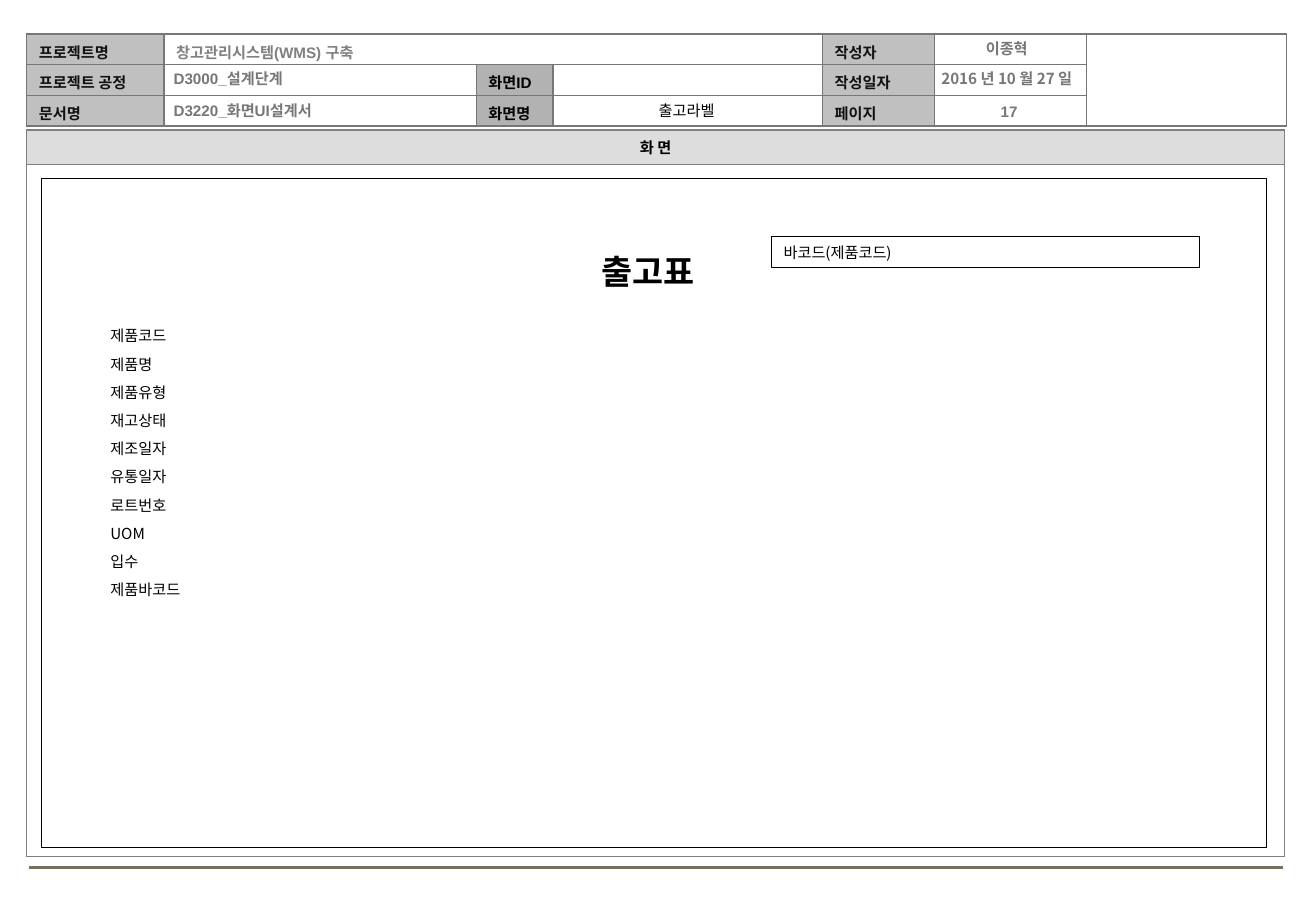
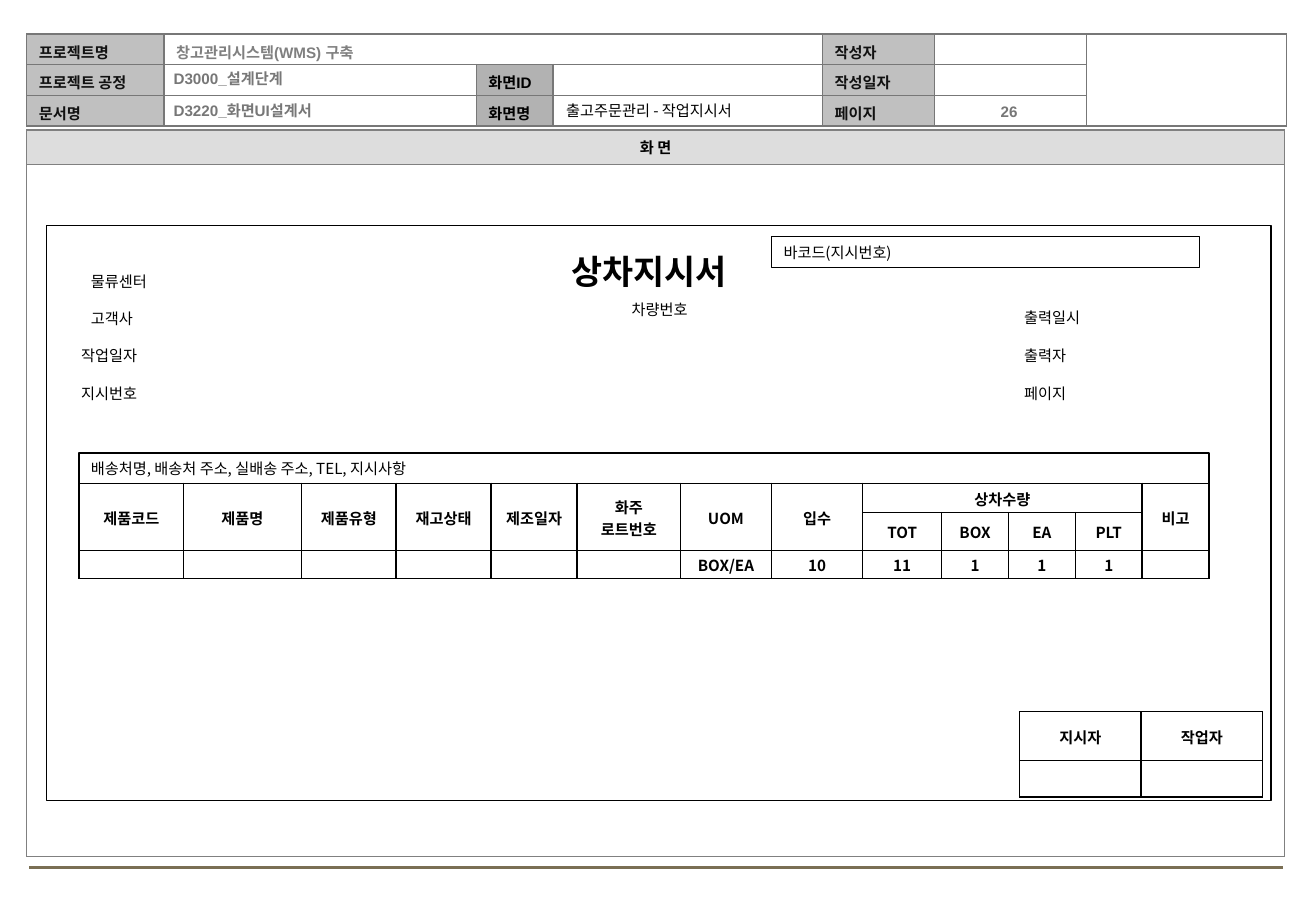
import dataclasses

import lxml.etree
import pptx
import pptx.dml.color
import pptx.enum.shapes
import pptx.enum.text
import pptx.oxml.ns
import pptx.util


@dataclasses.dataclass(frozen=True)
class Theme:
    """Colours, fonts, type sizes and line widths of the form."""
    black: str = "000000"
    label: str = "111111"
    value: str = "777777"
    muted: str = "808080"
    label_fill: str = "C0C0C0"
    screen_fill: str = "B2B2B2"
    band_fill: str = "DDDDDD"
    footer: str = "7A6F54"
    form_font: str = "Arial"
    body_font: str = "Noto Sans CJK KR"
    title_font: str = "Cabin"
    body_size: float = 9
    title_size: float = 20
    border: float = 1
    outline: float = 0.75
    footer_line: float = 1.75


THEME = Theme()
UNIT = 0.25
SLIDE_COLUMNS, SLIDE_ROWS = 43.32, 30
ALIGN = pptx.enum.text.PP_ALIGN
MIDDLE = pptx.enum.text.MSO_ANCHOR.MIDDLE
FORM = {"font": THEME.form_font, "bold": True}
FORM_VALUE = {**FORM, "color": THEME.value}
TIGHT = (0.01, 0.01, 0.01, 0)


def grid(units):
    """Turn grid columns or rows into a length."""
    return pptx.util.Inches(units * UNIT)


def rgb(color):
    """Turn a hex string into a colour."""
    return pptx.dml.color.RGBColor.from_string(color)


def add_element(parent, tag, **attributes):
    """Append a DrawingML element to a parent."""
    return lxml.etree.SubElement(parent, pptx.oxml.ns.qn(tag), **attributes)


def write_text(text_frame, text, font=THEME.body_font, size=THEME.body_size,
               color=THEME.black, bold=False, align=ALIGN.LEFT):
    """Write one paragraph for each line of text in the given format."""
    for index, line in enumerate(text.split("\n")):
        paragraph = text_frame.add_paragraph() if index else text_frame.paragraphs[0]
        paragraph.alignment = align
        if not line:
            add_element(paragraph._p, "a:endParaRPr", sz=str(int(size * 100)))
            continue
        run = paragraph.add_run()
        run.text = line
        run.font.size = pptx.util.Pt(size)
        run.font.bold = bold
        run.font.color.rgb = rgb(color)
        run.font.name = font
        add_element(run.font._element, "a:ea", typeface=THEME.body_font)


def add_label(slide, text, left, top, width=4.68, **text_format):
    """Add a one-row text box."""
    text_frame = slide.shapes.add_textbox(
        grid(left), grid(top), grid(width), grid(1)).text_frame
    text_frame.word_wrap = True
    text_frame.vertical_anchor = MIDDLE
    write_text(text_frame, text, **text_format)


def add_labels(slide, texts, left, top, bottom):
    """Stack labels evenly between the first and the last top edge."""
    step = (bottom - top) / (len(texts) - 1)
    for index, text in enumerate(texts):
        add_label(slide, text, left, top + index * step)


def add_title(slide, text, left, width):
    """Add the title of the printed sheet."""
    text_frame = slide.shapes.add_textbox(
        grid(left), grid(8.08), grid(width), grid(1.68)).text_frame
    text_frame.word_wrap = False
    text_frame.margin_left = text_frame.margin_right = pptx.util.Inches(0.02)
    text_frame.margin_top = text_frame.margin_bottom = pptx.util.Inches(0.04)
    write_text(text_frame, text, font=THEME.title_font, size=THEME.title_size, bold=True)


def add_box(slide, left, top, width, height, text=None):
    """Add an outlined rectangle, with text if given."""
    shape = slide.shapes.add_shape(
        pptx.enum.shapes.MSO_SHAPE.RECTANGLE,
        grid(left), grid(top), grid(width), grid(height))
    shape.shadow.inherit = False
    shape.fill.background()
    shape.line.color.rgb = rgb(THEME.black)
    shape.line.width = pptx.util.Pt(THEME.outline)
    if text:
        shape.text_frame.word_wrap = True
        shape.text_frame.vertical_anchor = MIDDLE
        write_text(shape.text_frame, text)


def add_borders(cell, color):
    """Draw all four borders of a cell."""
    properties = cell._tc.get_or_add_tcPr()
    for side in ("a:lnL", "a:lnR", "a:lnT", "a:lnB"):
        line = add_element(properties, side, w=str(pptx.util.Pt(THEME.border)))
        add_element(add_element(line, "a:solidFill"), "a:srgbClr", val=color)


def add_table(slide, left, top, columns, rows, texts, merges=(), margins=TIGHT,
              border=THEME.black, fills=None, colors=None, **text_format):
    """Add a table; fills go by cell, colors by column, merges are corner cells."""
    table = slide.shapes.add_table(
        len(rows), len(columns), grid(left), grid(top),
        grid(sum(columns)), grid(sum(rows))).table
    table.first_row = table.horz_banding = False
    for column, width in zip(table.columns, columns):
        column.width = grid(width)
    for row, height in zip(table.rows, rows):
        row.height = grid(height)
    for first, last in merges:
        table.cell(*first).merge(table.cell(*last))
    for row_index in range(len(rows)):
        for column_index in range(len(columns)):
            cell = table.cell(row_index, column_index)
            cell.margin_left, cell.margin_top, cell.margin_right, cell.margin_bottom = map(
                pptx.util.Inches, margins)
            cell.vertical_anchor = MIDDLE
            add_borders(cell, border)
            fill = (fills or {}).get((row_index, column_index))
            if fill:
                cell.fill.solid()
                cell.fill.fore_color.rgb = rgb(fill)
            else:
                cell.fill.background()
            color = (colors or {}).get(column_index, THEME.black)
            write_text(cell.text_frame, texts[row_index][column_index],
                       color=color, **text_format)


def add_form(presentation, page):
    """Add a slide with the shared header, screen area and footer line."""
    slide = presentation.slides.add_slide(presentation.slide_layouts[6])
    footer = slide.shapes.add_connector(
        pptx.enum.shapes.MSO_CONNECTOR.STRAIGHT,
        grid(0.96), grid(28.56), grid(42.24), grid(28.56))
    footer.line.color.rgb = rgb(THEME.footer)
    footer.line.width = pptx.util.Pt(THEME.footer_line)
    add_element(footer._element.spPr, "a:effectLst")
    fills = {(row, column): THEME.label_fill for row in range(3) for column in (0, 4)}
    fills.update({(row, 2): THEME.screen_fill for row in (1, 2)})
    add_table(
        slide, 0.88, 1.12, [4.52, 10.28, 2.52, 8.88, 3.68, 5, 6.6], [1.01] * 3,
        [["프로젝트명", "창고관리시스템(WMS) 구축", "", "", "작성자", "", ""],
         ["프로젝트 공정", "", "화면ID", "", "작성일자", "", ""],
         ["문서명", "", "화면명", "", "페이지", "", ""]],
        merges=[((0, 1), (0, 3)), ((0, 6), (2, 6))], margins=(0.1, 0.04, 0.1, 0),
        border=THEME.value, fills=fills,
        colors={0: THEME.label, 1: THEME.muted, 4: THEME.label}, **FORM)
    add_label(slide, "D3000_설계단계", 5.32, 2.08, 21.68, **FORM_VALUE)
    add_label(slide, "D3220_화면UI설계서", 5.32, 3.12, 21.68, **FORM_VALUE)
    add_table(slide, 0.88, 4.28, [41.4], [1.14, 22.78], [["화 면"], [""]],
              margins=(0.02, 0, 0.02, 0), border=THEME.muted,
              fills={(0, 0): THEME.band_fill}, align=ALIGN.CENTER, **FORM)
    add_label(slide, page, 30.72, 3.16, 5, align=ALIGN.CENTER, **FORM_VALUE)
    return slide


def add_screen_name(slide, text, align=ALIGN.LEFT):
    """Fill in the screen name of the header."""
    add_label(slide, text, 18.24, 3.12, 8.72, align=align)


def add_barcode(slide, text):
    """Add the barcode field."""
    add_box(slide, 25.4, 7.8, 14.08, 1, text)


def build_shipping_label(presentation):
    """Build the shipping label screen."""
    slide = add_form(presentation, "17")
    add_screen_name(slide, "출고라벨", ALIGN.CENTER)
    for text, top in (("이종혁", 1.08), ("2016 년 10 월 27 일", 2.08)):
        add_label(slide, text, 30, top, 6.28, color=THEME.value, bold=True,
                  align=ALIGN.CENTER)
    add_box(slide, 1.36, 5.88, 40.32, 22.04)
    add_title(slide, "출고표", 19.72, 3.52)
    add_barcode(slide, "바코드(제품코드)")
    add_labels(slide, ["제품코드", "제품명", "제품유형", "재고상태", "제조일자",
                       "유통일자", "로트번호", "UOM", "입수", "제품바코드"],
               3.24, 10.56, 18.92)


def build_loading_order(presentation):
    """Build the loading order screen."""
    slide = add_form(presentation, "26")
    add_screen_name(slide, "출고주문관리 - 작업지시서")
    add_box(slide, 1.52, 7.44, 40.32, 18.92)
    add_title(slide, "상차지시서", 18.72, 5.76)
    add_barcode(slide, "바코드(지시번호)")
    add_label(slide, "차량번호", 20.4, 9.68)
    add_labels(slide, ["물류센터", "고객사"], 2.6, 8.76, 10)
    add_labels(slide, ["작업일자", "지시번호"], 2.28, 11.2, 12.44)
    add_labels(slide, ["출력일시", "출력자", "페이지"], 33.32, 9.96, 12.44)
    add_box(slide, 2.6, 14.92, 37.2, 1, "배송처명, 배송처 주소, 실배송 주소, TEL, 지시사항")
    tall_columns = [*range(8), 12]
    add_table(
        slide, 2.6, 15.92,
        [3.44, 3.88, 3.12, 3.12, 2.84, 3.4, 3, 3, 2.6] + [2.2] * 4, [0.96, 0.88, 0.92],
        [["제품코드", "제품명", "제품유형", "재고상태", "제조일자", "화주\n로트번호",
          "UOM", "입수", "상차수량", "", "", "", "비고"],
         [""] * 8 + ["TOT", "BOX", "EA", "PLT", ""],
         [""] * 6 + ["BOX/EA", "10", "11", "1", "1", "1", ""]],
        merges=[((0, column), (1, column)) for column in tall_columns] + [((0, 8), (0, 11))],
        bold=True, align=ALIGN.CENTER)
    add_table(slide, 33.56, 23.44, [4, 4], [1.6, 1.2], [["지시자", "작업자"], ["", ""]],
              bold=True, align=ALIGN.CENTER)


def main():
    """Build and save the presentation."""
    presentation = pptx.Presentation()
    presentation.slide_width = grid(SLIDE_COLUMNS)
    presentation.slide_height = grid(SLIDE_ROWS)
    build_shipping_label(presentation)
    build_loading_order(presentation)
    presentation.save("out.pptx")


if __name__ == "__main__":
    main()
